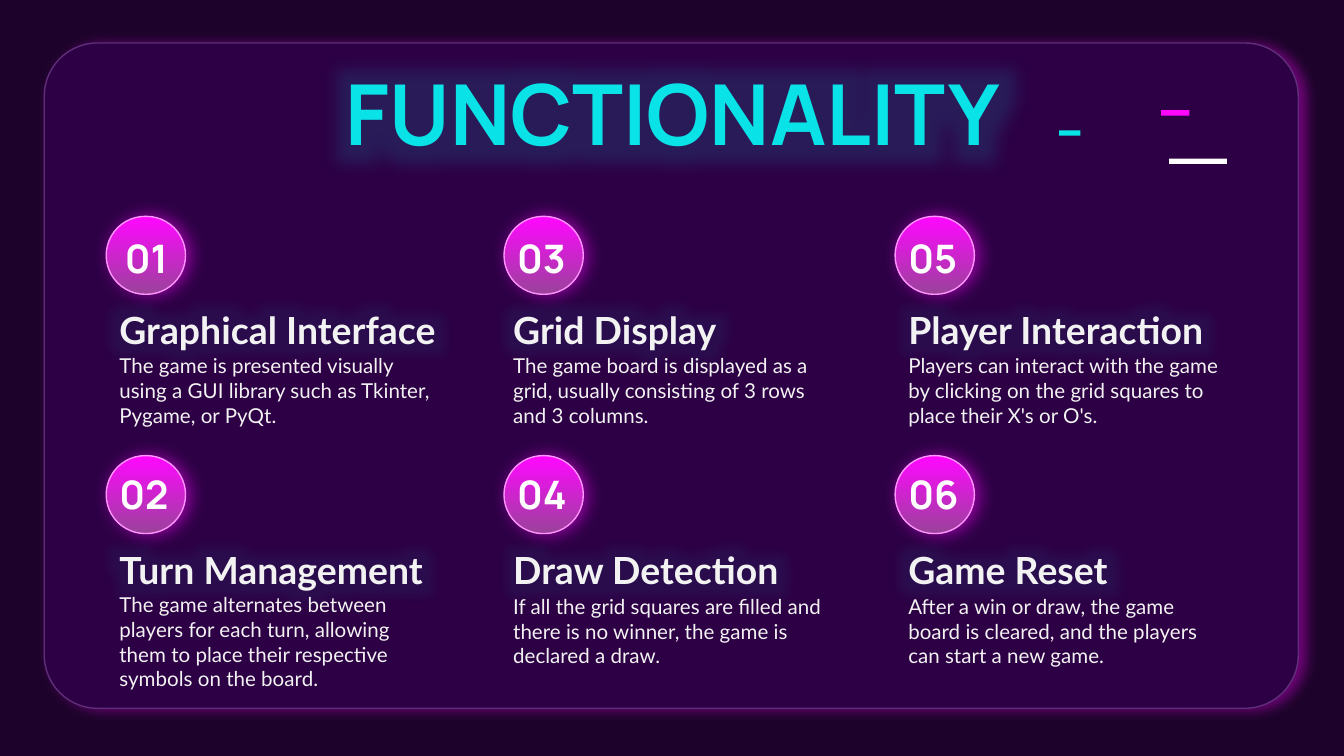
import pptx
import pptx.dml.color
import pptx.enum.shapes
import pptx.enum.text
import pptx.oxml
import pptx.util

Inches = pptx.util.Inches
Pt = pptx.util.Pt
SHAPES = pptx.enum.shapes.MSO_SHAPE
NAMESPACE = 'xmlns:a="http://schemas.openxmlformats.org/drawingml/2006/main"'


def color(hex_string):
    return pptx.dml.color.RGBColor.from_string(hex_string)


def write_text(shape, text, size, font, hex_string, bold=True, glow_opacity=0):
    frame = shape.text_frame
    frame.word_wrap = True
    frame.auto_size = pptx.enum.text.MSO_AUTO_SIZE.NONE
    frame.vertical_anchor = pptx.enum.text.MSO_ANCHOR.MIDDLE
    frame.margin_left = frame.margin_right = Inches(0.1)
    frame.margin_top = frame.margin_bottom = Inches(0.1)
    paragraph = frame.paragraphs[0]
    run = paragraph.add_run()
    run.text = text
    paragraph.font.size = Pt(size)
    paragraph.font.name = font
    paragraph.font.bold = bold
    paragraph.font.color.rgb = color(hex_string)
    if glow_opacity:
        run._r.get_or_add_rPr().append(pptx.oxml.parse_xml(
            f'<a:effectLst {NAMESPACE}><a:glow rad="{Pt(40)}"><a:srgbClr val="09E3E8">'
            f'<a:alpha val="{glow_opacity * 1000}"/></a:srgbClr></a:glow></a:effectLst>'))
    return paragraph


presentation = pptx.Presentation()
presentation.slide_width = Inches(10)
presentation.slide_height = Inches(10 * 9 / 16)
slide = presentation.slides.add_slide(presentation.slide_layouts[5])
slide.background.fill.solid()
slide.background.fill.fore_color.rgb = color("1D032B")

# Card, with its outline and pink shadow
card = slide.shapes.add_shape(
    SHAPES.ROUNDED_RECTANGLE, Inches(0.33), Inches(0.32), Inches(9.33), Inches(4.95))
card.adjustments[0] = 0.08
card.fill.solid()
card.fill.fore_color.rgb = color("2D0045")
card.line.color.rgb = color("5F2E79")
card.line.width = Pt(0.75)
glowing = [(card, 36, 6.8, 3.8, 19)]

# Title, brought in front of the card
title = slide.shapes.title
title.left, title.top = Inches(0.79), Inches(0.52)
title.width, title.height = Inches(8.43), Inches(0.63)
paragraph = write_text(title, "FUNCTIONALITY", 45, "Manrope", "09E3E8", glow_opacity=12)
paragraph.alignment = pptx.enum.text.PP_ALIGN.CENTER
card._element.addnext(title._element)

# Accent dashes
for left, top, width, fill in [
    (8.7, 1.18, 0.43, "FFFFFF"),
    (8.64, 0.82, 0.21, "FF07FF"),
    (7.88, 0.97, 0.16, "09E3E8"),
]:
    dash = slide.shapes.add_shape(
        SHAPES.RECTANGLE, Inches(left), Inches(top), Inches(width), Inches(0.04))
    dash.shadow.inherit = False
    dash.fill.solid()
    dash.fill.fore_color.rgb = color(fill)
    dash.line.fill.background()

# Features: number, number left, badge left, text left, badge top, body top
features = [
    ("01", 0.83, 0.79, 0.79, 1.61, 2.64, "Graphical Interface",
     "The game is presented visually using a GUI library such as Tkinter, Pygame, or PyQt."),
    ("02", 0.79, 0.79, 0.79, 3.39, 4.51, "Turn Management",
     "The game alternates between players for each turn, allowing them to place "
     "their respective symbols on the board."),
    ("03", 3.75, 3.75, 3.72, 1.61, 2.64, "Grid Display",
     "The game board is displayed as a grid, usually consisting of 3 rows and 3 columns."),
    ("04", 3.75, 3.75, 3.72, 3.39, 4.43, "Draw Detection",
     "If all the grid squares are filled and there is no winner, the game is declared a draw."),
    ("05", 6.66, 6.66, 6.66, 1.61, 2.64, "Player Interaction",
     "Players can interact with the game by clicking on the grid squares to place "
     "their X's or O's."),
    ("06", 6.66, 6.66, 6.66, 3.39, 4.43, "Game Reset",
     "After a win or draw, the game board is cleared, and the players can start a new game."),
]
for number, number_left, badge_left, text_left, badge_top, body_top, heading, body in features:
    badge = slide.shapes.add_shape(
        SHAPES.ROUNDED_RECTANGLE, Inches(badge_left), Inches(badge_top),
        Inches(0.59), Inches(0.58))
    badge.adjustments[0] = 0.5
    badge.fill.gradient()
    badge.fill.gradient_angle = 270
    for stop, position, hex_string in zip(
            badge.fill.gradient_stops, (0, 1), ("FF07FF", "9B429B")):
        stop.position = position
        stop.color.rgb = color(hex_string)
    badge.line.color.rgb = color("FF94FF")
    badge.line.width = Pt(0.75)
    glowing.append((badge, 50, 9, 2.2, 0))

    first_row = badge_top < 2
    number_top, heading_top = (1.59, 2.16) if first_row else (3.35, 3.95)
    heading_width = 3.1 if heading == "Draw Detection" else 2.73
    for text, left, top, width, height, size, font, hex_string, bold, glow_opacity in [
        (number, number_left, number_top, 1.39, 0.65, 21, "Manrope", "FFFFFF", True, 0),
        (heading, text_left, heading_top, heading_width, 0.58, 20, "Lato", "F2F2F2", True, 6),
        (body, text_left, body_top, 2.56, 0.53, 11, "Lato", "F2F2F2", False, 0),
    ]:
        box = slide.shapes.add_textbox(Inches(left), Inches(top), Inches(width), Inches(height))
        write_text(box, text, size, font, hex_string, bold, glow_opacity)

# Pink shadows: opacity in percent, blur and distance in points, direction in degrees
for shape, opacity, blur, distance, direction in glowing:
    shape.shadow.inherit = False
    effects = shape._element.spPr.find(pptx.oxml.ns.qn("a:effectLst"))
    effects.append(pptx.oxml.parse_xml(
        f'<a:outerShdw {NAMESPACE} blurRad="{Pt(blur)}" dist="{Pt(distance)}" '
        f'dir="{direction * 60000}" algn="bl" rotWithShape="0"><a:srgbClr val="FF07FF">'
        f'<a:alpha val="{opacity * 1000}"/></a:srgbClr></a:outerShdw>'))

presentation.save("out.pptx")
